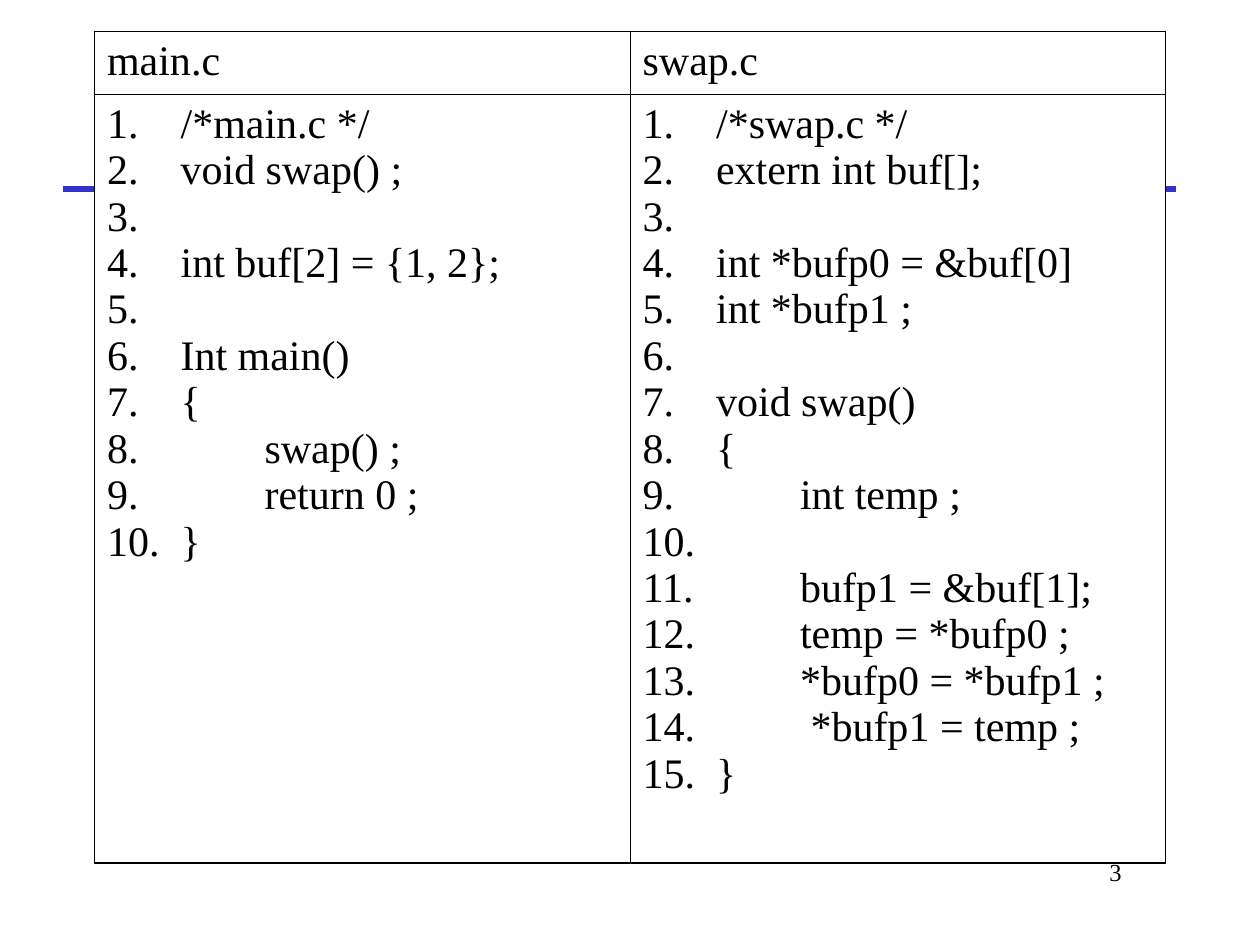
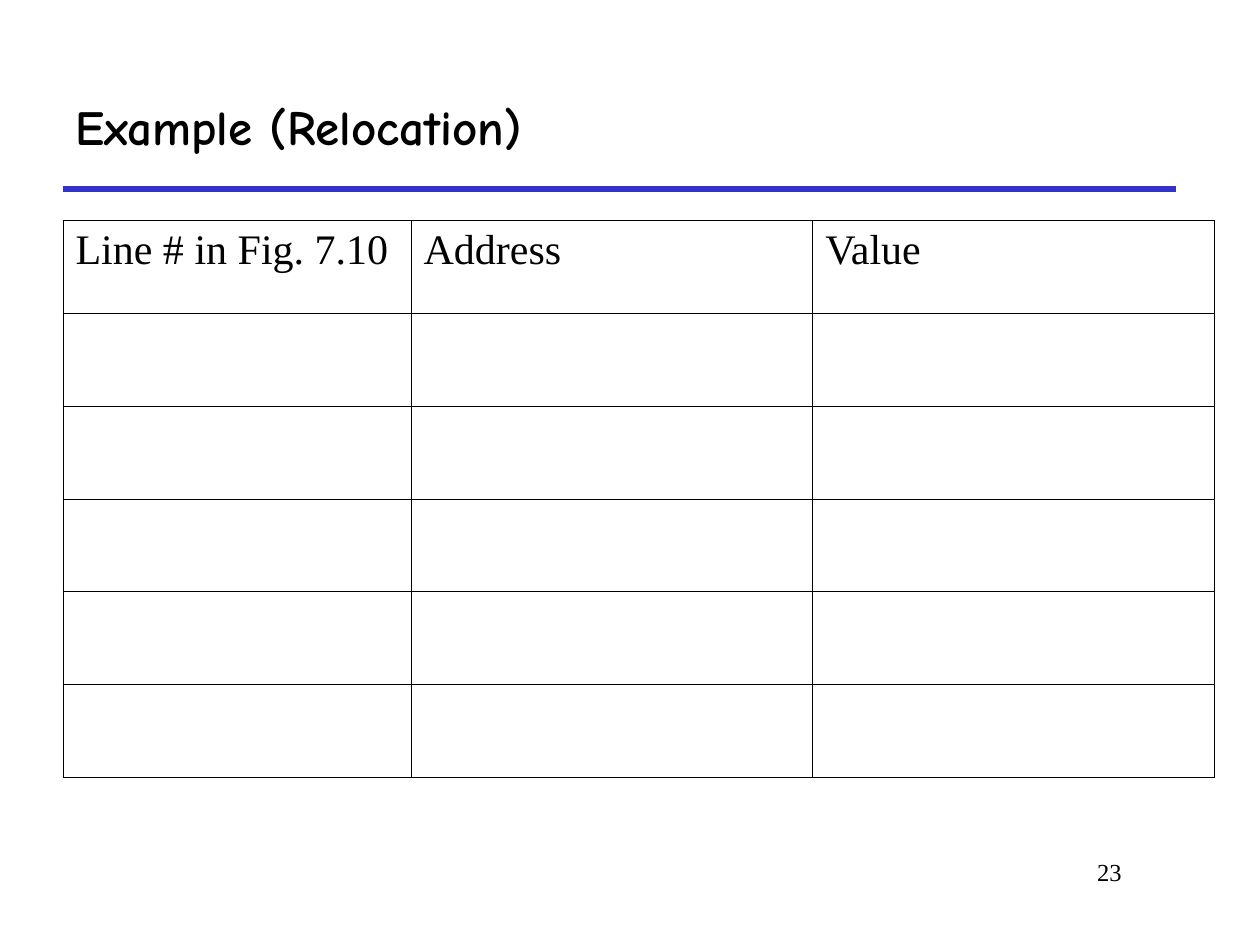
"""Build two slides: a pair of C listings and an empty relocation table."""
from dataclasses import dataclass
from typing import Optional

from lxml import etree
from pptx import Presentation
from pptx.dml.color import RGBColor
from pptx.enum.shapes import MSO_CONNECTOR
from pptx.enum.text import MSO_ANCHOR, PP_ALIGN
from pptx.oxml.ns import qn
from pptx.util import Pt

STRAIGHT = MSO_CONNECTOR.STRAIGHT
LEFT, RIGHT = PP_ALIGN.LEFT, PP_ALIGN.RIGHT
MIDDLE = MSO_ANCHOR.MIDDLE

BLACK, WHITE, RULE_BLUE = "000000", "FFFFFF", "3333CC"
TITLE_FONT, BODY_FONT = "Comic Neue", "Times New Roman"
TITLE_ONLY, BLANK = 5, 6
MARGIN = 36
CONTENT_WIDTH = 636
FOOTER_TOP = 486
LISTINGS_TOP, LISTINGS_HEADER = 18, 36
NUMBER_INDENT = 42
THIN, THICK = 0.45, 1.08

MAIN_CODE = """/*main.c */
void swap() ;

int buf[2] = {1, 2};

Int main()
{
        swap() ;
        return 0 ;
}"""

SWAP_CODE = """/*swap.c */
extern int buf[];

int *bufp0 = &buf[0]
int *bufp1 ;

void swap()
{
        int temp ;

        bufp1 = &buf[1];
        temp = *bufp0 ;
        *bufp0 = *bufp1 ;
         *bufp1 = temp ;
}"""


@dataclass(frozen=True)
class Grid:
    """A ruled table with a header row, measured in points."""
    left: float
    top: float
    widths: tuple[float, ...]
    heights: tuple[float, ...]
    headers: tuple[str, ...]
    listings: tuple[str, ...] = ()
    outer_border: float = THIN
    body_fill: Optional[str] = None


LISTINGS = Grid(54, LISTINGS_TOP, (306, 306),
                (LISTINGS_HEADER, FOOTER_TOP - LISTINGS_TOP - LISTINGS_HEADER),
                ("main.c", "swap.c"), (MAIN_CODE, SWAP_CODE), THICK, WHITE)
RELOCATIONS = Grid(MARGIN, 126, (198.9, 229.5, 229.5), (53.04,) * 6,
                   ("Line # in Fig. 7.10", "Address", "Value"))


def rgb(color: str) -> RGBColor:
    """Turn a hex string into a colour."""
    return RGBColor.from_string(color)


def number_line(paragraph) -> None:
    """Give a paragraph an automatic number and a hanging indent."""
    properties = paragraph._p.get_or_add_pPr()
    properties.set("marL", str(Pt(NUMBER_INDENT)))
    properties.set("indent", str(-Pt(NUMBER_INDENT)))
    bullet_color = etree.SubElement(properties, qn("a:buClr"))
    etree.SubElement(bullet_color, qn("a:srgbClr"), val=BLACK)
    etree.SubElement(properties, qn("a:buFont"), typeface=BODY_FONT)
    etree.SubElement(properties, qn("a:buAutoNum"), type="arabicPeriod")


def write(frame, text: str, *, size: float = 24, font: str = BODY_FONT,
          color: str = BLACK, bold: bool = False, align=LEFT,
          numbered: bool = False) -> None:
    """Fill a text frame, one paragraph per line of text."""
    for index, line in enumerate(text.split("\n")):
        paragraph = frame.add_paragraph() if index else frame.paragraphs[0]
        paragraph.alignment = align
        if numbered:
            number_line(paragraph)
        run = paragraph.add_run()
        run.text = line or " "
        run.font.size = Pt(size)
        run.font.name = font
        run.font.bold = bold
        run.font.color.rgb = rgb(color)


def border_cell(cell, widths: dict[str, float]) -> None:
    """Draw the four borders of a cell, ahead of its fill."""
    properties = cell._tc.get_or_add_tcPr()
    for position, (side, width) in enumerate(widths.items()):
        border = etree.Element(qn(f"a:{side}"), w=str(Pt(width)))
        solid = etree.SubElement(border, qn("a:solidFill"))
        etree.SubElement(solid, qn("a:srgbClr"), val=BLACK)
        properties.insert(position, border)


def draw_grid(slide, grid: Grid) -> None:
    """Draw a table with its headers and any numbered code listings."""
    rows, columns = len(grid.heights), len(grid.widths)
    table = slide.shapes.add_table(
        rows, columns, Pt(grid.left), Pt(grid.top),
        Pt(sum(grid.widths)), Pt(sum(grid.heights))).table
    table.first_row = table.horz_banding = False
    for column, width in zip(table.columns, grid.widths):
        column.width = Pt(width)
    for row, height in zip(table.rows, grid.heights):
        row.height = Pt(height)

    def edge(is_outer: bool) -> float:
        """Choose the border width for one side of a cell."""
        return grid.outer_border if is_outer else THIN

    for r in range(rows):
        for c in range(columns):
            cell = table.cell(r, c)
            if r and grid.body_fill:
                cell.fill.solid()
                cell.fill.fore_color.rgb = rgb(grid.body_fill)
            else:
                cell.fill.background()
            border_cell(cell, {"lnL": edge(c == 0), "lnR": edge(c == columns - 1),
                               "lnT": edge(r == 0), "lnB": edge(r == rows - 1)})
            if r == 0:
                write(cell.text_frame, grid.headers[c])
            elif grid.listings:
                write(cell.text_frame, grid.listings[c], numbered=True)


def add_page(deck, layout: int, page_number: int):
    """Add a slide with the shared rule and page number."""
    slide = deck.slides.add_slide(deck.slide_layouts[layout])
    rule = slide.shapes.add_connector(
        STRAIGHT, Pt(MARGIN), Pt(108), Pt(MARGIN + CONTENT_WIDTH), Pt(108))
    rule.line.color.rgb = rgb(RULE_BLUE)
    rule.line.width = Pt(3)
    etree.SubElement(rule._element.spPr, qn("a:effectLst"))
    footer = slide.shapes.add_textbox(Pt(546), Pt(FOOTER_TOP), Pt(102), Pt(36))
    footer.text_frame.word_wrap = True
    write(footer.text_frame, str(page_number), size=14, align=RIGHT)
    return slide


def set_title(slide, text: str) -> None:
    """Place and format the slide title."""
    title = slide.shapes.title
    title.left, title.top = Pt(MARGIN), Pt(36)
    title.width, title.height = Pt(CONTENT_WIDTH), Pt(72)
    title.text_frame.vertical_anchor = MIDDLE
    write(title.text_frame, text, size=28, font=TITLE_FONT, bold=True)


def main() -> None:
    """Build and save the deck."""
    deck = Presentation()
    deck.slide_width, deck.slide_height = Pt(720), Pt(540)

    draw_grid(add_page(deck, BLANK, 3), LISTINGS)

    relocation = add_page(deck, TITLE_ONLY, 23)
    set_title(relocation, "Example (Relocation)")
    draw_grid(relocation, RELOCATIONS)

    deck.save("out.pptx")


if __name__ == "__main__":
    main()
